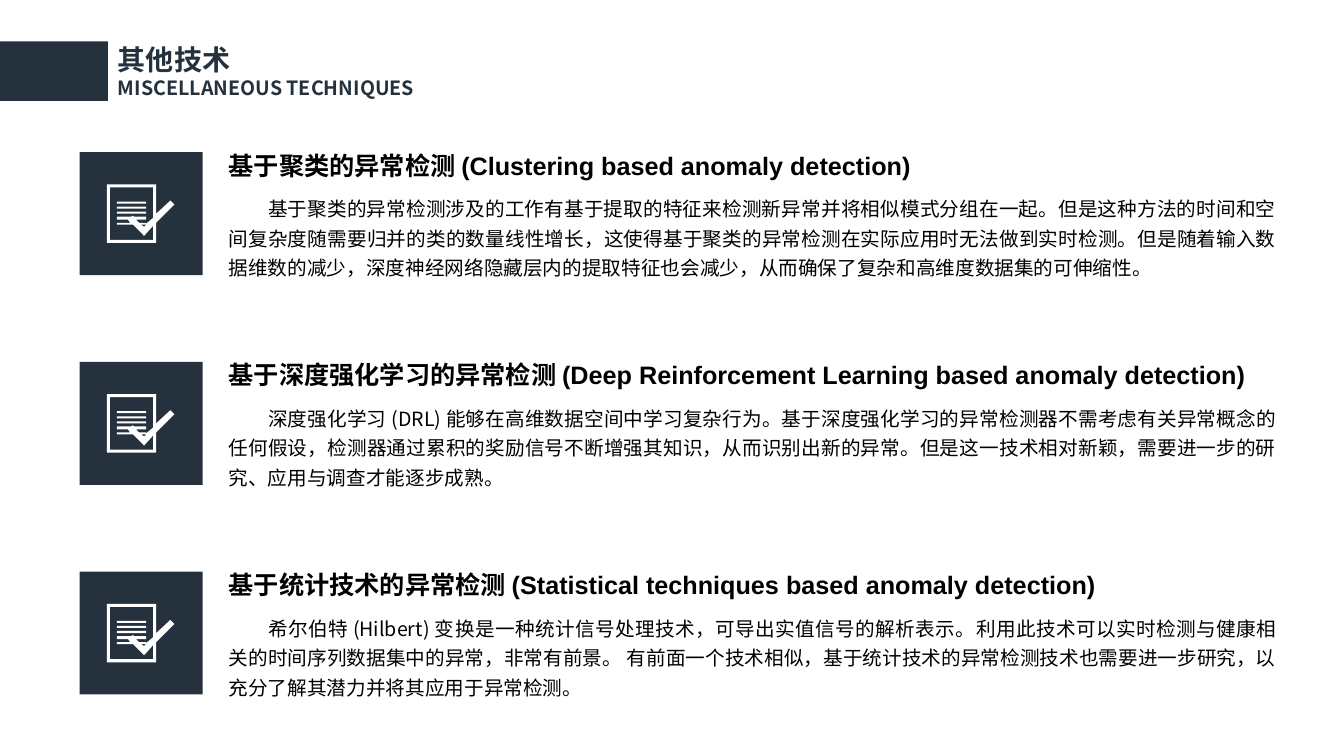
from dataclasses import dataclass

from lxml import etree
from pptx import Presentation
from pptx.dml.color import RGBColor
from pptx.enum.shapes import MSO_SHAPE
from pptx.enum.text import MSO_ANCHOR, PP_ALIGN
from pptx.oxml.ns import qn
from pptx.util import Inches, Pt

RECTANGLE = MSO_SHAPE.RECTANGLE
TOP = MSO_ANCHOR.TOP
LEFT, JUSTIFY = PP_ALIGN.LEFT, PP_ALIGN.JUSTIFY
TITLE_ONLY = 5


@dataclass(frozen=True)
class Theme:
    navy: RGBColor = RGBColor(0x26, 0x31, 0x3E)
    white: RGBColor = RGBColor(0xFF, 0xFF, 0xFF)
    black: RGBColor = RGBColor(0, 0, 0)
    chinese: str = "Noto Sans CJK SC"
    latin: str = "Arial"
    title_size: int = 20
    heading_size: int = 18
    body_size: int = 14


THEME = Theme()

TECHNIQUES = [
    ("基于聚类的异常检测 (Clustering based anomaly detection)",
     "基于聚类的异常检测涉及的工作有基于提取的特征来检测新异常并将相似模式分组在一起。"
     "但是这种方法的时间和空间复杂度随需要归并的类的数量线性增长，"
     "这使得基于聚类的异常检测在实际应用时无法做到实时检测。"
     "但是随着输入数据维数的减少，深度神经网络隐藏层内的提取特征也会减少，"
     "从而确保了复杂和高维度数据集的可伸缩性。"),
    ("基于深度强化学习的异常检测 (Deep Reinforcement Learning based anomaly detection)",
     "深度强化学习 (DRL) 能够在高维数据空间中学习复杂行为。"
     "基于深度强化学习的异常检测器不需考虑有关异常概念的任何假设，"
     "检测器通过累积的奖励信号不断增强其知识，从而识别出新的异常。"
     "但是这一技术相对新颖，需要进一步的研究、应用与调查才能逐步成熟。"),
    ("基于统计技术的异常检测 (Statistical techniques based anomaly detection)",
     "希尔伯特 (Hilbert) 变换是一种统计信号处理技术，可导出实值信号的解析表示。"
     "利用此技术可以实时检测与健康相关的时间序列数据集中的异常，非常有前景。 "
     "有前面一个技术相似，基于统计技术的异常检测技术也需要进一步研究，"
     "以充分了解其潜力并将其应用于异常检测。"),
]
FIRST_ROW_TOP = 1.51
ROW_STEP = 2.08

# Checklist outlines, in hundredths of an inch from the icon's top left corner
PAGE_AND_TICK = [(0, 0), (49, 0), (49, 29), (63, 16), (67, 20), (49, 38), (49, 58), (0, 58)]
PAGE_INSIDE = [
    (3, 3), (3, 55), (46, 55), (46, 41), (37, 51), (26, 40), (10, 40), (10, 38),
    (23, 38), (21, 35), (10, 35), (10, 32), (24, 32), (26, 31), (27, 32), (39, 32),
    (39, 35), (29, 35), (32, 38), (39, 38), (39, 39), (46, 33), (46, 3),
]
TICK_NOTCH = [(34, 40), (37, 42), (39, 40)]
WRITTEN_LINES = [[(10, y), (39, y), (39, y + 2), (10, y + 2)] for y in (17, 22, 27)]
CHECKLIST = [PAGE_AND_TICK, PAGE_INSIDE, TICK_NOTCH, *WRITTEN_LINES]


def paint(shape, color):
    shape.shadow.inherit = False
    shape.fill.solid()
    shape.fill.fore_color.rgb = color
    shape.line.fill.background()


def add_block(slide, left, top, width, height):
    block = slide.shapes.add_shape(
        RECTANGLE, Inches(left), Inches(top), Inches(width), Inches(height))
    paint(block, THEME.navy)


def add_checklist_icon(slide, left, top):
    start, *rest = PAGE_AND_TICK
    outline = slide.shapes.build_freeform(*start, scale=Inches(0.01))
    outline.add_line_segments(rest, close=True)
    for start, *rest in CHECKLIST[1:]:
        outline.move_to(*start)
        outline.add_line_segments(rest, close=True)
    paint(outline.convert_to_shape(Inches(left), Inches(top)), THEME.white)


def set_font(paragraph, size, color, latin, bold=False):
    """Format a paragraph, with the Chinese face for its East Asian text."""
    font = paragraph.font
    font.size, font.bold, font.name = Pt(size), bold, latin
    font.color.rgb = color
    properties = paragraph._p.get_or_add_pPr().find(qn("a:defRPr"))
    east_asian = etree.SubElement(properties, qn("a:ea"))
    east_asian.set("typeface", THEME.chinese)


def add_text(slide, left, top, width, height, text):
    """Add a wrapping text box and return its paragraph."""
    box = slide.shapes.add_textbox(
        Inches(left), Inches(top), Inches(width), Inches(height))
    box.text_frame.word_wrap = True
    paragraph = box.text_frame.paragraphs[0]
    paragraph.text = text
    return paragraph


def add_title(slide):
    add_block(slide, 0, 0.41, 1.07, 0.59)
    title = slide.shapes.title
    title.left, title.top = Inches(1.07), Inches(0.37)
    title.width, title.height = Inches(4.39), Inches(0.67)
    frame = title.text_frame
    frame.vertical_anchor = TOP
    frame.text = "其他技术\nMISCELLANEOUS TECHNIQUES"
    for paragraph, size in zip(frame.paragraphs, (THEME.title_size, THEME.body_size)):
        paragraph.alignment = LEFT
        set_font(paragraph, size, THEME.navy, THEME.chinese, bold=True)


def add_technique(slide, top, heading, description):
    add_block(slide, 0.79, top, 1.22, 1.22)
    add_checklist_icon(slide, 1.06, top + 0.32)

    heading_line = add_text(slide, 2.17, top - 0.07, 10.59, 0.4, heading)
    set_font(heading_line, THEME.heading_size, THEME.black, THEME.latin, bold=True)

    body = add_text(slide, 2.17, top + 0.34, 10.59, 0.96, description)
    body.alignment = JUSTIFY
    body.line_spacing = 1.25
    body._p.get_or_add_pPr().set("indent", str(Inches(0.39)))
    set_font(body, THEME.body_size, THEME.black, THEME.chinese)


def main():
    deck = Presentation()
    deck.slide_width, deck.slide_height = Inches(13.33), Inches(7.5)
    slide = deck.slides.add_slide(deck.slide_layouts[TITLE_ONLY])
    add_title(slide)
    for row, (heading, description) in enumerate(TECHNIQUES):
        add_technique(slide, FIRST_ROW_TOP + row * ROW_STEP, heading, description)
    deck.save("out.pptx")


if __name__ == "__main__":
    main()
